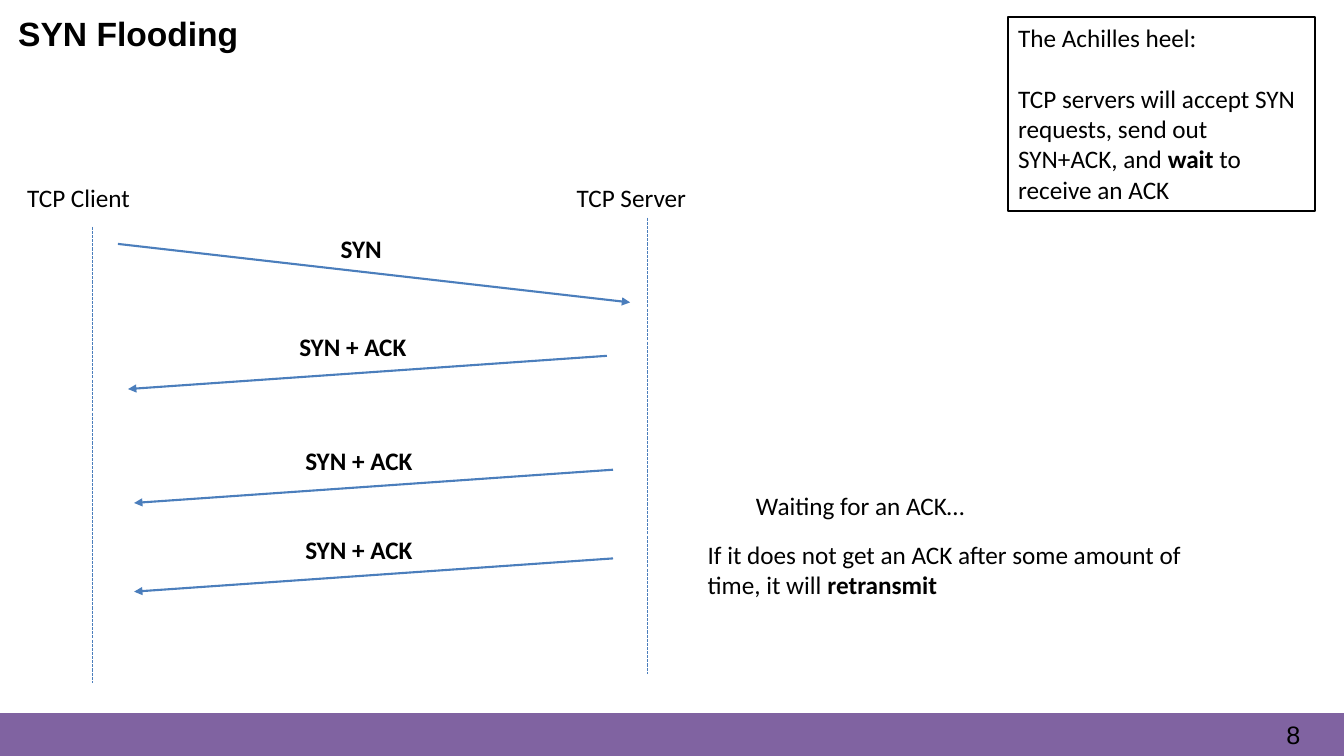
from dataclasses import dataclass

import pptx
import pptx.dml.color
import pptx.enum.dml
import pptx.enum.shapes
import pptx.enum.text
import pptx.oxml
import pptx.oxml.ns
import pptx.util
from pptx.util import Inches


@dataclass(frozen=True)
class Theme:
    text: str = "000000"
    band: str = "8063A1"
    line: str = "4B7EBC"
    heading_font: str = "Arial"
    body_font: str = "Calibri"
    title_size: int = 24
    body_size: int = 18
    body_line: int = 22


THEME = Theme()


def color(value):
    return pptx.dml.color.RGBColor.from_string(value)


def write_text(shape, paragraphs, size=THEME.body_size, font=THEME.body_font,
               bold=False, gap=0, margin=None):
    frame = shape.text_frame
    frame.word_wrap = True
    frame.auto_size = pptx.enum.text.MSO_AUTO_SIZE.NONE
    frame.vertical_anchor = pptx.enum.text.MSO_ANCHOR.TOP
    if margin is not None:
        frame.margin_left = frame.margin_right = Inches(margin)
        frame.margin_top = frame.margin_bottom = Inches(margin)
    for index, runs in enumerate(paragraphs):
        paragraph = frame.add_paragraph() if index else frame.paragraphs[0]
        paragraph.alignment = pptx.enum.text.PP_ALIGN.LEFT
        if index:
            paragraph.space_before = pptx.util.Pt(gap)
        for text, emphasis in runs:
            run = paragraph.add_run()
            run.text = text
            run.font.name = font
            run.font.size = pptx.util.Pt(size)
            run.font.bold = bold or emphasis
            run.font.color.rgb = color(THEME.text)


def add_text(slide, left, top, width, height, *runs, **text_format):
    box = slide.shapes.add_textbox(Inches(left), Inches(top), Inches(width), Inches(height))
    write_text(box, [runs], **text_format)
    return box


def add_rectangle(slide, left, top, width, height, line, line_width, fill=None):
    shape = slide.shapes.add_shape(
        pptx.enum.shapes.MSO_SHAPE.RECTANGLE,
        Inches(left), Inches(top), Inches(width), Inches(height))
    shape.shadow.inherit = False
    if fill:
        shape.fill.solid()
        shape.fill.fore_color.rgb = color(fill)
    else:
        shape.fill.background()
    shape.line.color.rgb = color(line)
    shape.line.width = pptx.util.Pt(line_width)
    return shape


def add_line(slide, start, end, width):
    connector = slide.shapes.add_connector(
        pptx.enum.shapes.MSO_CONNECTOR.STRAIGHT,
        Inches(start[0]), Inches(start[1]), Inches(end[0]), Inches(end[1]))
    connector.line.color.rgb = color(THEME.line)
    connector.line.width = pptx.util.Pt(width)
    properties = connector.element.spPr
    properties.append(properties.makeelement(pptx.oxml.ns.qn("a:effectLst"), {}))
    return connector


def add_lifeline(slide, name, label_left, label_width, x, top):
    add_text(slide, label_left, 1.76, label_width, 0.4, (name, False))
    lifeline = add_line(slide, (x, top), (x, top + 4.53), 0.75)
    lifeline.line.dash_style = pptx.enum.dml.MSO_LINE.SQUARE_DOT


def add_message(slide, label, label_left, label_top, label_width, start, end):
    arrow = add_line(slide, start, end, 1.5)
    outline = arrow.line._get_or_add_ln()
    outline.append(outline.makeelement(pptx.oxml.ns.qn("a:tailEnd"), {"type": "triangle"}))
    add_text(slide, label_left, label_top, label_width, 0.4, (label, False), bold=True)


def add_title(slide, text):
    title = slide.shapes.title
    title.left, title.top = Inches(0.08), Inches(0.08)
    title.width, title.height = Inches(8.83), Inches(0.5)
    write_text(title, [[(text, False)]], size=THEME.title_size,
               font=THEME.heading_font, bold=True)


def add_footer(slide, number):
    add_rectangle(slide, 0, 7.08, 13.33, 0.42, THEME.band, 1, fill=THEME.band)
    box = add_text(slide, 12.76, 7.15, 0.53, 0.31, (number, False),
                   font=THEME.heading_font, margin=0)
    box.text_frame.paragraphs[0].line_spacing = pptx.util.Pt(20.9)


def main():
    presentation = pptx.Presentation()
    presentation.slide_width = Inches(13.33)
    presentation.slide_height = Inches(7.5)
    slide = presentation.slides.add_slide(presentation.slide_layouts[5])

    add_footer(slide, "8")
    add_title(slide, "SYN Flooding")
    add_lifeline(slide, "TCP Client", 0.17, 1.42, 0.92, 2.25)
    add_lifeline(slide, "TCP Server", 5.62, 1.52, 6.42, 2.16)

    callout = add_rectangle(slide, 10, 0.17, 3.04, 1.92, THEME.text, 1.5)
    write_text(callout, [
        [("The Achilles heel:", False)],
        [("TCP servers will accept SYN requests, send out SYN+ACK, and ", False),
         ("wait", True), (" to receive an ACK", False)],
    ], gap=THEME.body_line)

    add_message(slide, "SYN", 3.28, 2.27, 0.72, (1.17, 2.42), (6.25, 3))
    for right, top in ((6.02, 3.53), (6.08, 4.66), (6.08, 5.54)):
        add_message(slide, "SYN + ACK", right - 3.15, top - 0.29, 1.56,
                    (right, top), (right - 4.75, top + 0.33))

    add_text(slide, 7.4, 4.82, 2.6, 0.4, ("Waiting for an ACK…", False))
    add_text(slide, 6.92, 5.3, 5.08, 0.71,
             ("If it does not get an ACK after some amount of time, it will ", False),
             ("retransmit", True))
    presentation.save("out.pptx")


if __name__ == "__main__":
    main()
